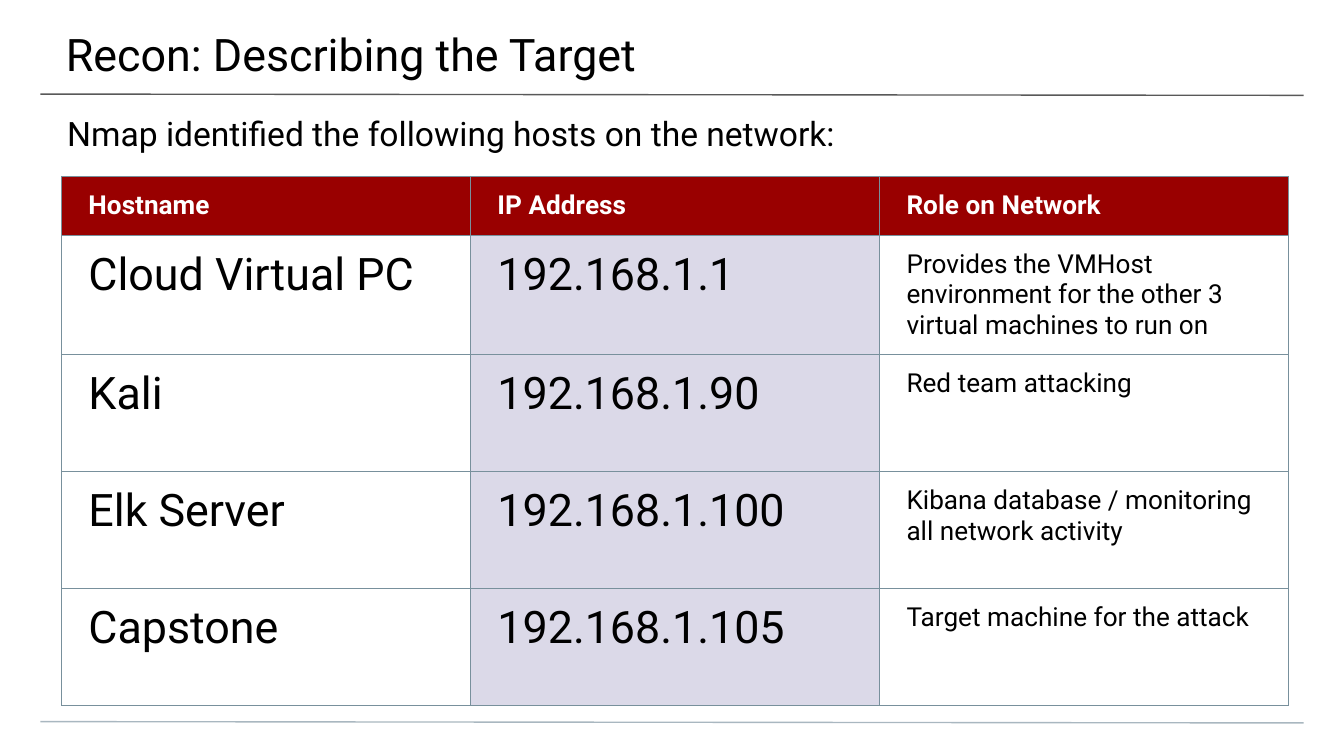
from typing import NamedTuple

from lxml import etree
from pptx import Presentation
from pptx.dml.color import RGBColor
from pptx.enum.shapes import MSO_CONNECTOR
from pptx.enum.text import MSO_ANCHOR, MSO_AUTO_SIZE, PP_ALIGN
from pptx.oxml.ns import qn
from pptx.util import Pt

STRAIGHT = MSO_CONNECTOR.STRAIGHT
TOP, MIDDLE = MSO_ANCHOR.TOP, MSO_ANCHOR.MIDDLE
LEFT = PP_ALIGN.LEFT
NO_AUTOFIT = MSO_AUTO_SIZE.NONE

FONT = "Roboto"
COLORS = {
    "text": "000000",
    "header_text": "FFFFFF",
    "header_fill": "990000",
    "address_fill": "DBD9E8",
    "border": "78909C",
    "title_rule": "595959",
    "footer_rule": "A9B7C0",
}
LINE_WIDTH = 0.75
COLUMN_WIDTH = 219.12
HEADER_HEIGHT, ROW_HEIGHT = 31.5, 62.7
ADDRESS_COLUMN = 1
COLUMN_SIZES = (24, 24, 14)


class Box(NamedTuple):
    left: float
    top: float
    width: float
    height: float


class Rule(NamedTuple):
    top: float
    color: str


class Host(NamedTuple):
    name: str
    address: str
    role: str


HEADERS = ("Hostname", "IP Address", "Role on Network")
HOSTS = (
    Host("Cloud Virtual PC", "192.168.1.1",
         "Provides the VMHost environment for the other 3 virtual machines to run on"),
    Host("Kali", "192.168.1.90", "Red team attacking"),
    Host("Elk Server", "192.168.1.100", "Kibana database / monitoring all network activity"),
    Host("Capstone", "192.168.1.105", "Target machine for the attack"),
)
RULES = (Rule(50.4, "title_rule"), Rule(386.6, "footer_rule"))


def rgb(name: str) -> RGBColor:
    return RGBColor.from_string(COLORS[name])


def write(tf, text: str, *, size: float, color: str = "text", bold: bool = False) -> None:
    tf.word_wrap = True
    p = tf.paragraphs[0]
    p.alignment = LEFT
    p.space_before = Pt(0)
    p.line_spacing = 1.0
    r = p.add_run()
    r.text = text
    r.font.name = FONT
    r.font.size = Pt(size)
    r.font.bold = bold
    r.font.color.rgb = rgb(color)


def fill_placeholder(sp, box: Box, insets: Box, text: str, size: float) -> None:
    sp.left, sp.top, sp.width, sp.height = (Pt(v) for v in box)
    tf = sp.text_frame
    tf.auto_size = NO_AUTOFIT
    tf.vertical_anchor = TOP
    tf.margin_left, tf.margin_top, tf.margin_right, tf.margin_bottom = (Pt(v) for v in insets)
    write(tf, text, size=size)


def add_rule(s, rule: Rule) -> None:
    line = s.shapes.add_connector(
        STRAIGHT, Pt(21.6), Pt(rule.top), Pt(698.4), Pt(rule.top + 0.7))
    line.line.color.rgb = rgb(rule.color)
    line.line.width = Pt(LINE_WIDTH)
    etree.SubElement(line._element.spPr, qn("a:effectLst"))


def set_borders(cell) -> None:
    tc_pr = cell._tc.get_or_add_tcPr()
    for side in ("a:lnL", "a:lnR", "a:lnT", "a:lnB"):
        ln = etree.SubElement(tc_pr, qn(side), w=str(Pt(LINE_WIDTH)))
        solid = etree.SubElement(ln, qn("a:solidFill"))
        etree.SubElement(solid, qn("a:srgbClr"), val=COLORS["border"])


def format_cell(cell, fill: str | None, anchor) -> None:
    cell.margin_left = cell.margin_right = Pt(14.4)
    cell.margin_top = cell.margin_bottom = Pt(7.2)
    cell.vertical_anchor = anchor
    set_borders(cell)
    if fill:
        cell.fill.solid()
        cell.fill.fore_color.rgb = rgb(fill)
    else:
        cell.fill.background()


def add_host_table(s) -> None:
    rows, cols = len(HOSTS) + 1, len(HEADERS)
    height = HEADER_HEIGHT + ROW_HEIGHT * len(HOSTS)
    table = s.shapes.add_table(
        rows, cols, Pt(33), Pt(94.5), Pt(COLUMN_WIDTH * cols), Pt(height)).table
    table.first_row = table.horz_banding = False
    for column in table.columns:
        column.width = Pt(COLUMN_WIDTH)
    for i, row in enumerate(table.rows):
        row.height = Pt(ROW_HEIGHT if i else HEADER_HEIGHT)

    for col, header in enumerate(HEADERS):
        cell = table.cell(0, col)
        format_cell(cell, "header_fill", MIDDLE)
        write(cell.text_frame, header, size=14, color="header_text", bold=True)
    for row, host in enumerate(HOSTS, start=1):
        for col, (text, size) in enumerate(zip(host, COLUMN_SIZES)):
            cell = table.cell(row, col)
            format_cell(cell, "address_fill" if col == ADDRESS_COLUMN else None, TOP)
            write(cell.text_frame, text, size=size)


def main() -> None:
    prs = Presentation()
    prs.slide_width, prs.slide_height = Pt(720), Pt(405)
    s = prs.slides.add_slide(prs.slide_layouts[0])

    # Rules under the title and above the bottom edge
    for rule in RULES:
        add_rule(s, rule)

    # Title and introduction
    fill_placeholder(s.shapes.title, Box(-0.7, 0, 722, 41.8), Box(36, 14.4, 21.6, 7.2),
                     "Recon: Describing the Target", 24)
    fill_placeholder(s.placeholders[1], Box(0, 53.3, 720, 28.8), Box(36, 7.2, 36, 0),
                     "Nmap identified the following hosts on the network:", 18)

    # Hosts found on the network
    add_host_table(s)
    prs.save("out.pptx")


if __name__ == "__main__":
    main()
